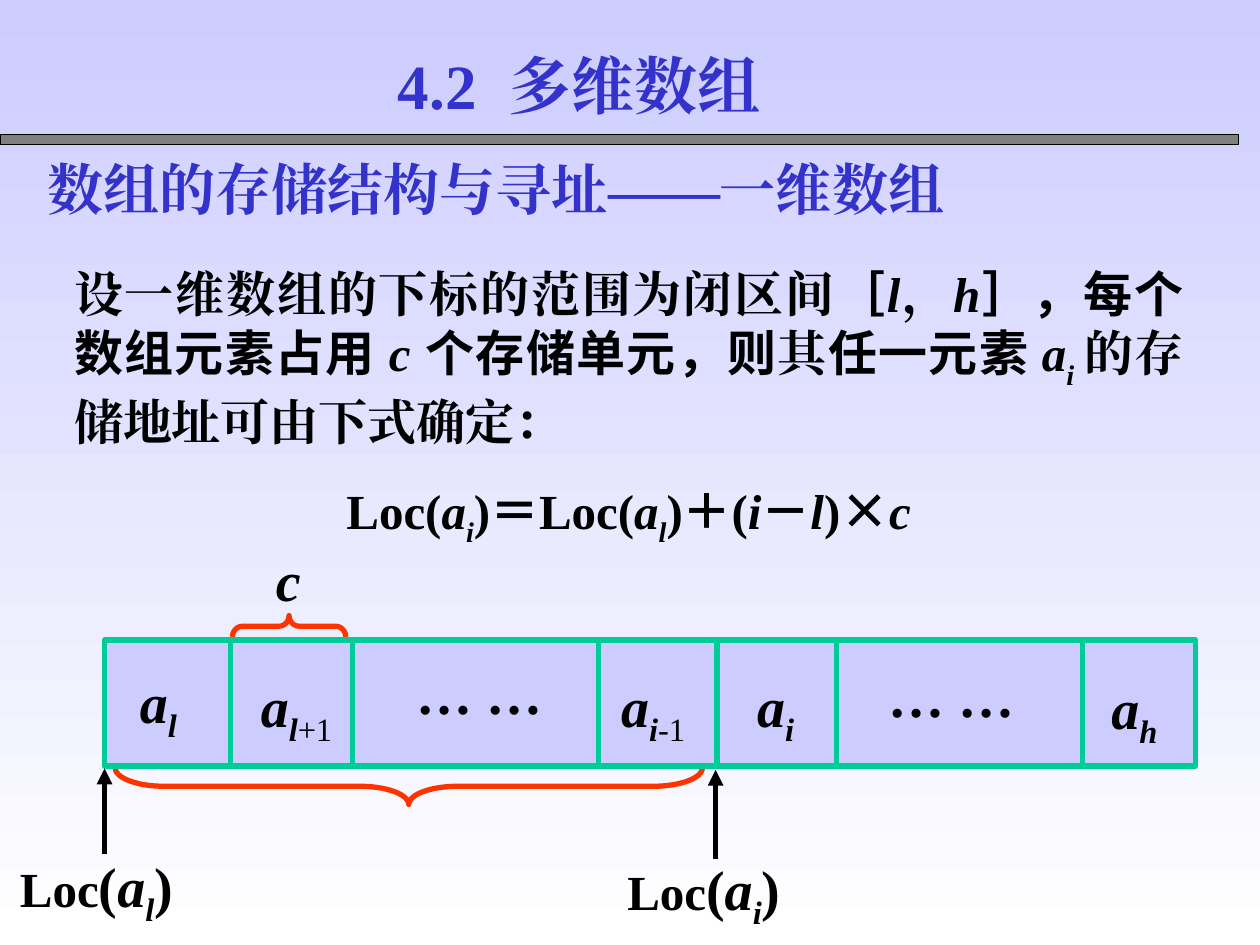
from lxml import etree
from pptx import Presentation
from pptx.dml.color import RGBColor
from pptx.enum.shapes import MSO_CONNECTOR, MSO_SHAPE
from pptx.enum.text import PP_ALIGN
from pptx.oxml import parse_xml
from pptx.oxml.ns import nsdecls, qn
from pptx.util import Inches, Pt

RECT, LEFT_BRACE, RIGHT_BRACE = MSO_SHAPE.RECTANGLE, MSO_SHAPE.LEFT_BRACE, MSO_SHAPE.RIGHT_BRACE
STRAIGHT = MSO_CONNECTOR.STRAIGHT
LEFT, CENTER, JUSTIFY = PP_ALIGN.LEFT, PP_ALIGN.CENTER, PP_ALIGN.JUSTIFY

BLACK = RGBColor(0x00, 0x00, 0x00)
WHITE = RGBColor(0xFF, 0xFF, 0xFF)
GRAY = RGBColor(0x80, 0x80, 0x80)
BLUE = RGBColor(0x33, 0x33, 0xCC)
LAVENDER = RGBColor(0xCC, 0xCC, 0xFF)
GREEN = RGBColor(0x00, 0xCC, 0x99)
RED = RGBColor(0xFF, 0x33, 0x00)

TIMES, SANS, COMIC = "Times New Roman", "Noto Sans CJK SC", "Comic Neue"

# Content: each run is (text, options); a plain string has no options
ITALIC = {"italic": True}
BIG = {"size": 32}
BIG_ITALIC = {"size": 32, "italic": True}
SUB = {"italic": True, "baseline": -25}
OFFSET = {"bold": False, "baseline": -25}
CJK = {"font": SANS}

TITLE = ["4.2", (" ", {"spacing": 9}), "多维数组"]
HEADING = ["数组的存储结构与寻址——一维数组"]
STATEMENT = [
    "设一维数组的下标的范围为闭区间", ("［", CJK), ("l", ITALIC), "，", ("h", ITALIC),
    ("］，每个数组元素占用 ", CJK), ("c ", ITALIC), ("个存储单元，则", CJK), "其",
    ("任一元", {"font": COMIC}), ("素 ", CJK), ("a", ITALIC),
    ("i ", {"italic": True, "baseline": -30}), "的存储地址可由下式确定：",
]
FORMULA = [
    "Loc(", ("a", ITALIC), ("i", SUB), ")", ("＝", CJK), "Loc(", ("a", ITALIC), ("l", SUB), ")",
    ("＋", CJK), "(", ("i", ITALIC), ("－", CJK), ("l", ITALIC), ")", ("×", CJK), ("c", ITALIC),
]
# Cell labels: left, top, width, alignment, runs
CELLS = [
    (1.11, 5.25, 0.6, LEFT, [("a", ITALIC), ("l", SUB)]),
    (2.07, 5.28, 0.73, LEFT, [("a", ITALIC), ("l", SUB), ("+1", OFFSET)]),
    (3.1, 5.18, 1.41, CENTER, ["… …"]),
    (4.93, 5.28, 0.73, LEFT, [("a", ITALIC), ("i", SUB), ("-1", OFFSET)]),
    (6.01, 5.28, 0.6, LEFT, [("a", ITALIC), ("i", SUB)]),
    (6.85, 5.2, 1.41, CENTER, ["… …"]),
    (8.82, 5.3, 0.6, LEFT, [("a", ITALIC), ("h", SUB)]),
]
ROW_LEFT, ROW_TOP, ROW_WIDTH, ROW_HEIGHT = 0.83, 5.08, 8.66, 1
DIVIDERS = [1.83, 2.8, 4.75, 5.69, 6.64, 8.59]
# Braces: kind, left, top, width, height before the quarter turn, curve size
BRACES = [
    (LEFT_BRACE, 3.1, 3.91, 0.29, 4.66, 1.34),
    (RIGHT_BRACE, 2.21, 4.52, 0.17, 0.9, 0.47),
]
# Address pointers: arrow x, arrow bottom, arrow tip, label left, label top, index
POINTERS = [
    (0.83, 6.78, 6.1, 0.06, 6.76, "l"),
    (5.68, 6.82, 6.11, 4.88, 6.78, "i"),
]


def add_runs(para, runs):
    for item in runs:
        text, options = (item, {}) if isinstance(item, str) else item
        span = para.add_run()
        span.text = text
        span.font.name = options.get("font", TIMES)
        if "size" in options:
            span.font.size = Pt(options["size"])
        if "bold" in options:
            span.font.bold = options["bold"]
        if "italic" in options:
            span.font.italic = options["italic"]
        props = span.font._element
        if "baseline" in options:
            props.set("baseline", str(options["baseline"] * 1000))
        if "spacing" in options:
            props.set("spc", str(options["spacing"] * 100))
        east_asian = etree.SubElement(props, qn("a:ea"))
        east_asian.set("typeface", span.font.name)


def add_text(page, place, paragraphs, size, color=BLACK, margins=(0.1, 0.05)):
    """Each paragraph is (alignment, points after, runs)."""
    box = page.shapes.add_textbox(*map(Inches, place))
    frame = box.text_frame
    frame.word_wrap = True
    frame.margin_left = frame.margin_right = Inches(margins[0])
    frame.margin_top = frame.margin_bottom = Inches(margins[1])
    for number, (alignment, after, runs) in enumerate(paragraphs):
        para = frame.add_paragraph() if number else frame.paragraphs[0]
        para.alignment = alignment
        para.space_after = Pt(after)
        para.font.size = Pt(size)
        para.font.bold = True
        para.font.color.rgb = color
        add_runs(para, runs)
    return box


def add_shape(page, kind, place, fill, line, width):
    shape = page.shapes.add_shape(kind, *map(Inches, place))
    shape.shadow.inherit = False
    if fill is None:
        shape.fill.background()
    else:
        shape.fill.solid()
        shape.fill.fore_color.rgb = fill
    shape.line.color.rgb = line
    shape.line.width = Pt(width)
    return shape


def add_line(page, x, start, end, color, arrow=False):
    line = page.shapes.add_connector(STRAIGHT, Inches(x), Inches(start), Inches(x), Inches(end))
    line.line.color.rgb = color
    line.line.width = Pt(3)
    if arrow:
        etree.SubElement(line.line._get_or_add_ln(), qn("a:tailEnd")).set("type", "triangle")
    etree.SubElement(line._element.spPr, qn("a:effectLst"))


def add_text_shadow(box):
    for span in box.text_frame.paragraphs[0].runs:
        shadow = parse_xml(
            f'<a:effectLst {nsdecls("a")}><a:outerShdw dist="35921" dir="2700000">'
            '<a:srgbClr val="808080"/></a:outerShdw></a:effectLst>')
        span.font._element.find(qn("a:latin")).addprevious(shadow)


def main():
    deck = Presentation()
    deck.slide_width, deck.slide_height = Inches(10), Inches(7.5)
    page = deck.slides.add_slide(deck.slide_layouts[6])

    # Background and title rule
    backdrop = page.background.fill
    backdrop.gradient()
    backdrop.gradient_angle = 270
    for stop, position, color in zip(backdrop.gradient_stops, (0, 1), (LAVENDER, WHITE)):
        stop.position = position
        stop.color.rgb = color
    add_shape(page, RECT, (0, 1.07, 9.83, 0.08), GRAY, BLACK, 0.75)

    # Headings, statement and formula
    title = add_text(page, (2.02, 0.32, 5.15, 0.7), [(CENTER, 0, TITLE)], 36, BLUE)
    add_text_shadow(title)
    add_text(page, (0.28, 1.18, 8.83, 0.64), [(LEFT, 0, HEADING)], 32, BLUE)
    add_text(page, (0.49, 2.04, 9, 2.36),
             [(JUSTIFY, 17.5, STATEMENT), (CENTER, 0, FORMULA)], 28)

    # Braces and element size
    for kind, *place, curve in BRACES:
        brace = add_shape(page, kind, place, None, RED, 3)
        brace.rotation = 270
        brace.adjustments[0] = curve
    add_text(page, (2.09, 4.33, 0.39, 0.53), [(LEFT, 0, [("c", ITALIC)])], 32, margins=(0.1, 0))

    # Array row
    add_shape(page, RECT, (ROW_LEFT, ROW_TOP, ROW_WIDTH, ROW_HEIGHT), LAVENDER, GREEN, 3)
    for x in DIVIDERS:
        add_line(page, x, ROW_TOP, ROW_TOP + ROW_HEIGHT, GREEN)
    for left, top, width, alignment, runs in CELLS:
        add_text(page, (left, top, width, 0.7), [(alignment, 0, runs)], 32, margins=(0, 0.05))

    # Address pointers
    for x, bottom, tip, left, top, index in POINTERS:
        add_line(page, x, bottom, tip, BLACK, arrow=True)
        label = ["Loc", ("(", BIG), ("a", BIG_ITALIC), (index, {**BIG, **SUB}), (")", BIG)]
        add_text(page, (left, top, 1.69, 0.61), [(LEFT, 0, label)], 28, margins=(0.1, 0))

    deck.save("out.pptx")


if __name__ == "__main__":
    main()
